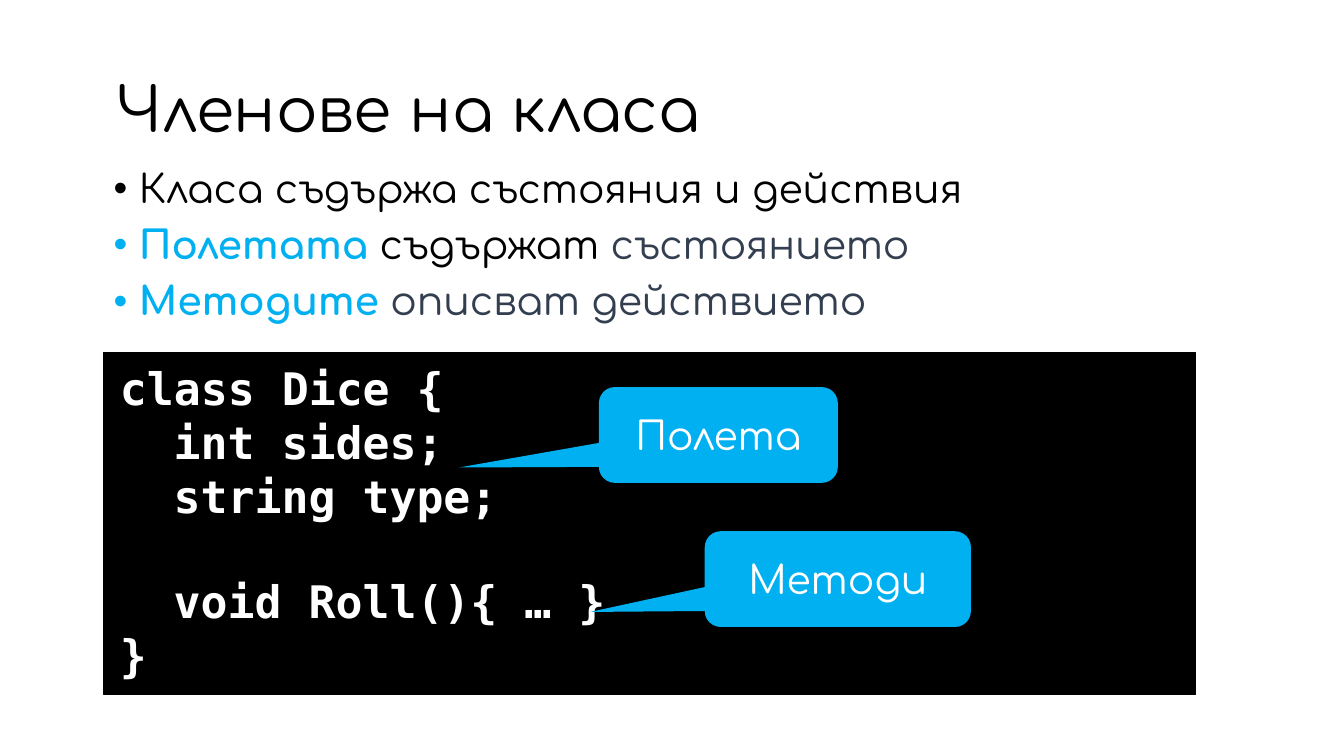
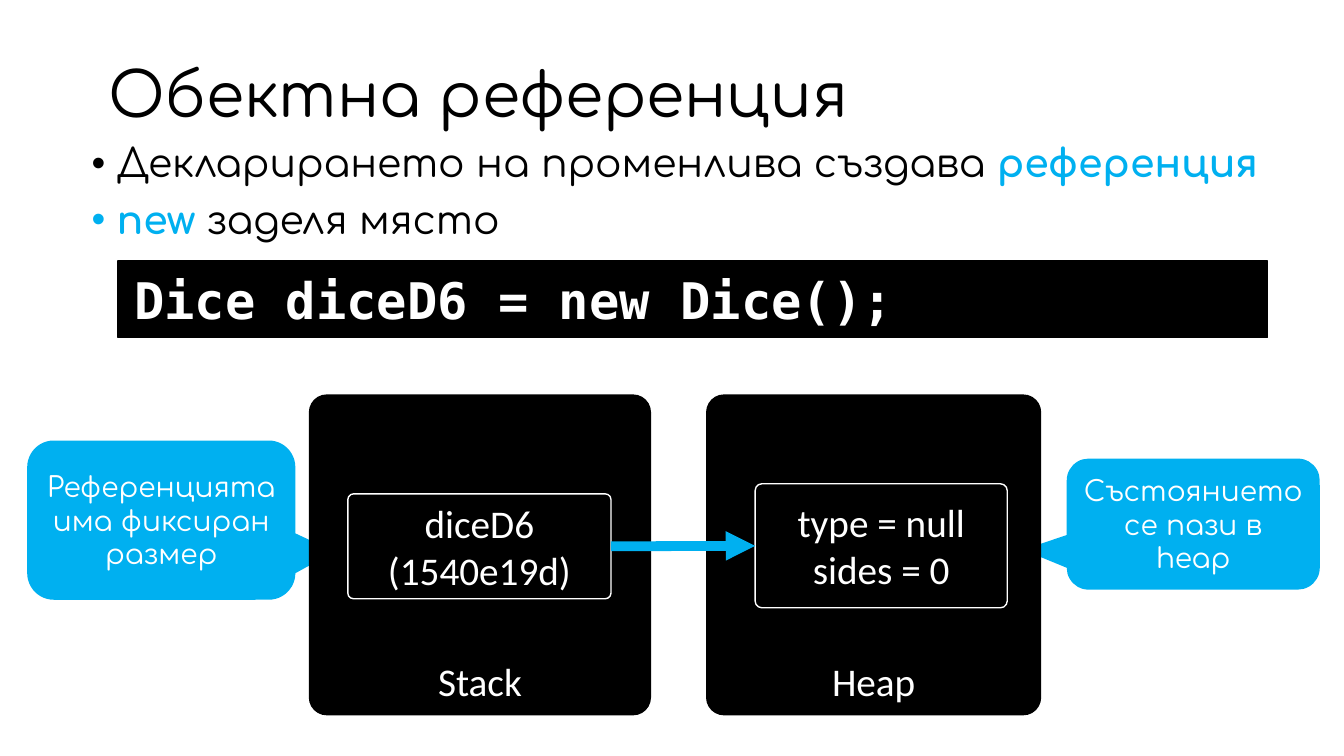
from dataclasses import dataclass
from lxml.etree import SubElement
from pptx import Presentation
from pptx.dml.color import RGBColor
from pptx.enum.shapes import MSO_CONNECTOR as LINE, MSO_SHAPE as SHAPE
from pptx.enum.text import MSO_ANCHOR as ANCHOR, PP_ALIGN as ALIGN
from pptx.oxml.ns import qn
from pptx.util import Inches, Pt


@dataclass(frozen=True)
class Theme:
    black: str = "000000"
    white: str = "FFFFFF"
    accent: str = "00B0F0"
    slate: str = "333F50"
    display: str = "Comfortaa"
    plain: str = "Calibri"
    mono: str = "DejaVu Sans Mono"
    title: int = 44
    body: int = 28
    note: int = 20


theme = Theme()
BLACK, WHITE, ACCENT, SLATE = theme.black, theme.white, theme.accent, theme.slate


def write(paragraph, runs, size, font, bold=False):
    """Add (text, colour) runs; accent runs are bold, "\n" breaks the line."""
    for text, colour in runs:
        if text == "\n":
            paragraph.add_line_break()
            continue
        run = paragraph.add_run()
        run.text = text
        run.font.size, run.font.name = Pt(size), font
        run.font.bold = bold or colour == ACCENT
        run.font.color.rgb = RGBColor.from_string(colour)


def add_block(slide, kind, box, fill, line=None, adjust=(), anchor=ANCHOR.MIDDLE):
    """Add a filled shape, outlined if a line colour is given."""
    block = slide.shapes.add_shape(kind, *map(Inches, box))
    block.shadow.inherit = False
    block.fill.solid()
    block.fill.fore_color.rgb = RGBColor.from_string(fill)
    if line:
        block.line.color.rgb = RGBColor.from_string(line)
        block.line.width = Pt(1)
    else:
        block.line.fill.background()
    for index, value in enumerate(adjust):
        block.adjustments[index] = value
    block.text_frame.word_wrap = True
    block.text_frame.vertical_anchor = anchor
    return block


deck = Presentation()
deck.slide_width, deck.slide_height = Inches(13.33), Inches(7.5)

# Content: title, bullets, code (text, indent levels, blank lines above), callouts
pages = [
    dict(
        title=("Членове на класа", (1.05, 0.61, 10.83, 1.02)),
        bullets_box=(1.03, 1.63, 10.83, 1.87),
        bullets=[
            [("Класа съдържа състояния и действия", BLACK)],
            [("Полетата", ACCENT), (" съдържат ", BLACK), ("състоянието", SLATE)],
            [("Методите ", ACCENT), ("описват действието", SLATE)],
        ],
        code_box=(1.03, 3.5, 10.83, 3.39),
        code_size=32,
        code=[("class Dice {", 0, 0), ("int sides;", 1, 0), ("string type;", 1, 0),
              ("void Roll(){ … }", 1, 1), ("}", 0, 0)],
        callouts=[
            ("Полета", (5.94, 3.84, 2.37, 0.95), (-1.086, 0.34), theme.body),
            ("Методи", (6.99, 5.27, 2.64, 0.95), (-0.931, 0.343), theme.body),
        ],
    ),
    dict(
        title=("Обектна референция", (0.98, 0.5, 11.5, 0.94)),
        bullets_box=(0.81, 1.38, 12.07, 1.16),
        bullets=[
            [("Декларирането на променлива създава ", BLACK), ("референция ", ACCENT)],
            [("new ", ACCENT), ("заделя място", BLACK)],
        ],
        code_box=(1.17, 2.59, 11.4, 0.76),
        code_size=36,
        code=[("Dice diceD6 = new Dice();", 0, 0)],
        callouts=[
            ("Референцията има фиксиран размер", (0.27, 4.37, 2.66, 1.58),
             (0.646, 0.198), theme.note),
            ("Състоянието се пази в heap", (10.58, 4.55, 2.51, 1.3),
             (-0.673, 0.196), theme.note),
        ],
    ),
]

for page in pages:
    slide = deck.slides.add_slide(deck.slide_layouts[6])

    # Title
    heading, heading_box = page["title"]
    title = slide.shapes.add_textbox(*map(Inches, heading_box)).text_frame
    title.word_wrap, title.vertical_anchor = True, ANCHOR.MIDDLE
    title.paragraphs[0].line_spacing = 0.9
    write(title.paragraphs[0], [(heading, BLACK)], theme.title, theme.display)

    # Bullets
    points = slide.shapes.add_textbox(*map(Inches, page["bullets_box"])).text_frame
    points.word_wrap = True
    for index, runs in enumerate(page["bullets"]):
        point = points.add_paragraph() if index else points.paragraphs[0]
        point.line_spacing, point.space_before = 0.9, Pt(10)
        properties = point._p.get_or_add_pPr()
        properties.set("marL", str(Inches(0.25)))
        properties.set("indent", str(Inches(-0.25)))
        SubElement(properties, qn("a:buFont")).set("typeface", "Arial")
        SubElement(properties, qn("a:buChar")).set("char", "•")
        write(point, runs, theme.body, theme.display)

    # Code panel
    panel = add_block(slide, SHAPE.RECTANGLE, page["code_box"], BLACK, BLACK,
                      anchor=ANCHOR.TOP).text_frame
    panel.margin_left = panel.margin_right = Inches(0.16)
    panel.margin_top = panel.margin_bottom = Inches(0.08)
    size = page["code_size"]
    for index, (text, level, blanks) in enumerate(page["code"]):
        code_line = panel.add_paragraph() if index else panel.paragraphs[0]
        code_line.alignment = ALIGN.LEFT
        code_line.space_before = Pt(round(blanks * size * 1.16))
        # One level is two monospaced characters, each 0.6 of the type size
        code_line._p.get_or_add_pPr().set("marL", str(Pt(level * 2 * 0.6 * size)))
        write(code_line, [(text, WHITE)], size, theme.mono, bold=True)

    # Callouts
    for text, box, tip, size in page["callouts"]:
        callout = add_block(slide, SHAPE.ROUNDED_RECTANGULAR_CALLOUT, box, ACCENT,
                            adjust=(*tip, 0.167)).text_frame
        callout.paragraphs[0].alignment = ALIGN.CENTER
        write(callout.paragraphs[0], [(text, WHITE)], size, theme.display)

# Memory diagram on the last slide: areas first, then the cells inside them
memory = [
    (["Stack"], (3.07, 3.92, 3.38, 3.17), BLACK, ANCHOR.BOTTOM),
    (["Heap"], (7.01, 3.92, 3.31, 3.17), BLACK, ANCHOR.BOTTOM),
    (["diceD6", "(1540e19d)"], (3.45, 4.9, 2.61, 1.04), WHITE, ANCHOR.MIDDLE),
    (["type = null\nsides = 0"], (7.49, 4.8, 2.5, 1.23), WHITE, ANCHOR.MIDDLE),
]
cells = []
for texts, box, outline, anchor in memory:
    cell = add_block(slide, SHAPE.ROUNDED_RECTANGLE, box, BLACK, outline, (0.054,), anchor)
    for index, text in enumerate(texts):
        label = cell.text_frame.add_paragraph() if index else cell.text_frame.paragraphs[0]
        label.alignment = ALIGN.CENTER
        runs = [(part, WHITE) for part in text.replace("\n", "|\n|").split("|")]
        write(label, runs, theme.body, theme.plain)
    cells.append(cell)

# Arrow from the reference to the object's state
reference, state = cells[2:]
pointer = slide.shapes.add_connector(LINE.STRAIGHT, 0, 0, 0, 0)
pointer.begin_connect(reference, 3)
pointer.end_connect(state, 1)
pointer.line.color.rgb = RGBColor.from_string(ACCENT)
pointer.line.width = Pt(7)
SubElement(pointer.line._get_or_add_ln(), qn("a:tailEnd")).set("type", "triangle")
SubElement(pointer._element.spPr, qn("a:effectLst"))

deck.save("out.pptx")
